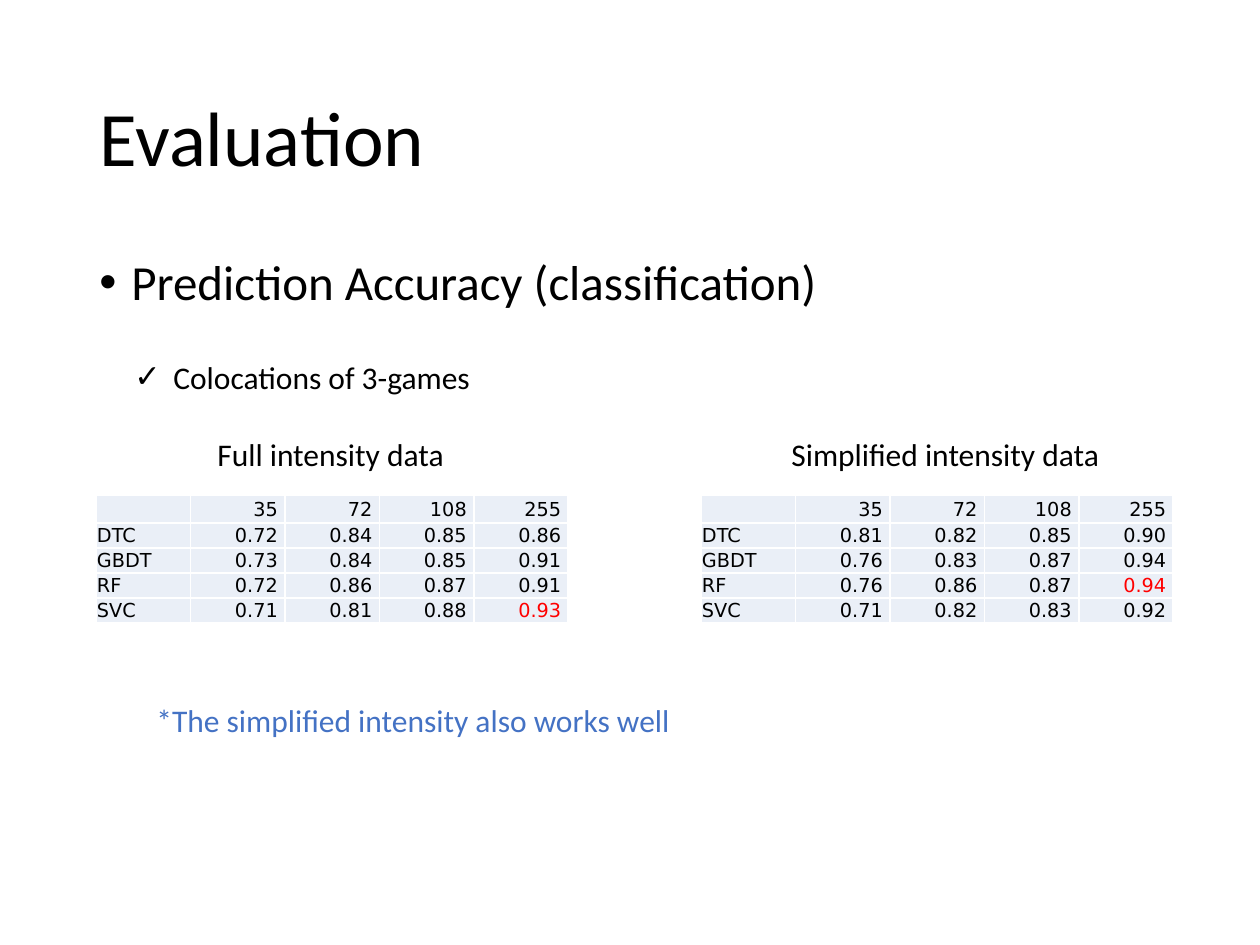
import pptx
import pptx.util
import pptx.dml.color
import pptx.enum.text
import pptx.oxml.ns
from lxml import etree

PX = 914400 // 126
BLACK, RED, BLUE, WHITE, CELL_FILL = "000000", "FF0000", "4472C4", "FFFFFF", "EAEFF7"
LEFT, RIGHT = pptx.enum.text.PP_ALIGN.LEFT, pptx.enum.text.PP_ALIGN.RIGHT
MIDDLE = pptx.enum.text.MSO_ANCHOR.MIDDLE

# Content
TITLE = "Evaluation"
# text, (left, top, width, height), size, colour, wrap, bullet, indent, line spacing
TEXTS = [
    ("Prediction Accuracy (classification)", (87, 252, 1166, 84), 28, BLACK, True, "•", 32, 0.9),
    ("Colocations of 3-games", (122, 352, 825, 50), 18, BLACK, True, "✓", 39, 1.0),
    ("Full intensity data", (205, 429, 255, 50), 18, BLACK, False, None, 0, 1.0),
    ("Simplified intensity data", (779, 429, 336, 50), 18, BLACK, False, None, 0, 1.0),
    ("*The simplified intensity also works well", (144, 695, 631, 50), 18, BLUE, True, None, 0, 1.0),
]
HEADER = ["", "35", "72", "108", "255"]
# left edge, rows, (row, column) of the highlighted value
ACCURACY_TABLES = [
    (96, [
        ["DTC", "0.72", "0.84", "0.85", "0.86"],
        ["GBDT", "0.73", "0.84", "0.85", "0.91"],
        ["RF", "0.72", "0.86", "0.87", "0.91"],
        ["SVC", "0.71", "0.81", "0.88", "0.93"],
    ], (4, 4)),
    (701, [
        ["DTC", "0.81", "0.82", "0.85", "0.90"],
        ["GBDT", "0.76", "0.83", "0.87", "0.94"],
        ["RF", "0.76", "0.86", "0.87", "0.94"],
        ["SVC", "0.71", "0.82", "0.83", "0.92"],
    ], (3, 4)),
]
TABLE_TOP, COLUMN_WIDTH, HEADER_HEIGHT, ROW_HEIGHT = 495, 94.5, 28, 25


def emu(px):
    return pptx.util.Emu(round(px * PX))


def color(hex_string):
    return pptx.dml.color.RGBColor.from_string(hex_string)


def assign(target, values):
    for key, value in values.items():
        setattr(target, key, value)


def add_tag(parent, tag, **attributes):
    return etree.SubElement(parent, pptx.oxml.ns.qn(tag), attributes)


def write(paragraph, text, size, hex_string, font="Calibri", align=LEFT):
    paragraph.alignment = align
    run = paragraph.add_run()
    run.text = text
    assign(run.font, {"name": font, "size": pptx.util.Pt(size)})
    run.font.color.rgb = color(hex_string)


def add_text(slide, text, box, size, hex_string, wrap, bullet, indent, spacing):
    frame = slide.shapes.add_textbox(*map(emu, box)).text_frame
    frame.word_wrap = wrap
    paragraph = frame.paragraphs[0]
    paragraph.line_spacing = spacing
    if bullet:
        properties = paragraph._p.get_or_add_pPr()
        properties.set("marL", str(emu(indent)))
        properties.set("indent", str(-emu(indent)))
        add_tag(properties, "a:buFont", typeface="Arial")
        add_tag(properties, "a:buChar", char=bullet)
    write(paragraph, text, size, hex_string)


def format_cell(cell, text, column, hex_string):
    assign(cell, {
        "vertical_anchor": MIDDLE,
        "margin_left": emu(1),
        "margin_top": emu(1),
        "margin_right": emu(7),
        "margin_bottom": 0,
    })
    for side in ("a:lnL", "a:lnR", "a:lnT", "a:lnB"):
        border = add_tag(cell._tc.get_or_add_tcPr(), side, w="12700")
        add_tag(add_tag(border, "a:solidFill"), "a:srgbClr", val=WHITE)
    cell.fill.solid()
    cell.fill.fore_color.rgb = color(CELL_FILL)
    paragraph = cell.text_frame.paragraphs[0]
    if text:
        write(paragraph, text, 11, hex_string, "DejaVu Sans", RIGHT if column else LEFT)
    else:
        add_tag(paragraph._p, "a:endParaRPr", sz="1100")


def add_accuracy_table(slide, left, rows, highlight):
    rows = [HEADER] + rows
    heights = [HEADER_HEIGHT] + [ROW_HEIGHT] * (len(rows) - 1)
    table = slide.shapes.add_table(
        len(rows), len(HEADER), emu(left), emu(TABLE_TOP),
        emu(COLUMN_WIDTH * len(HEADER)), emu(sum(heights))).table
    assign(table, {"first_row": False, "horz_banding": False})
    for column in table.columns:
        column.width = emu(COLUMN_WIDTH)
    for r, (values, height) in enumerate(zip(rows, heights)):
        table.rows[r].height = emu(height)
        for c, text in enumerate(values):
            format_cell(table.cell(r, c), text, c, RED if (r, c) == highlight else BLACK)


def main():
    deck = pptx.Presentation()
    assign(deck, {"slide_width": emu(1260), "slide_height": emu(945)})
    slide = deck.slides.add_slide(deck.slide_layouts[5])

    # Title
    title = slide.shapes.title
    assign(title, {"left": emu(87), "top": emu(50), "width": emu(1086), "height": emu(183)})
    title.text_frame.vertical_anchor = MIDDLE
    heading = title.text_frame.paragraphs[0]
    heading.line_spacing = 0.9
    write(heading, TITLE, 44, BLACK)

    # Bullets, table captions and remark
    for item in TEXTS:
        add_text(slide, *item)

    # Accuracy tables
    for item in ACCURACY_TABLES:
        add_accuracy_table(slide, *item)

    deck.save("out.pptx")


if __name__ == "__main__":
    main()
